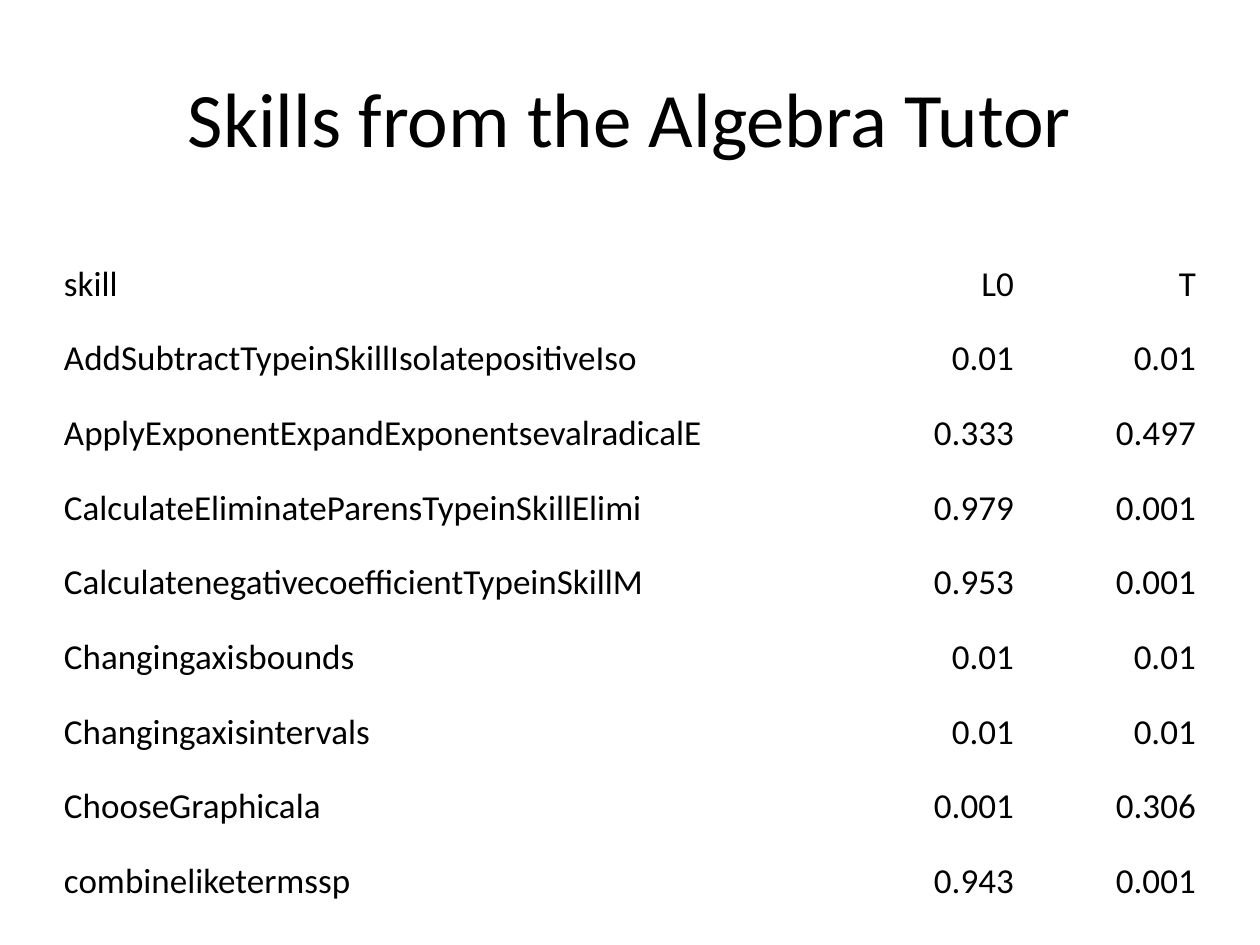
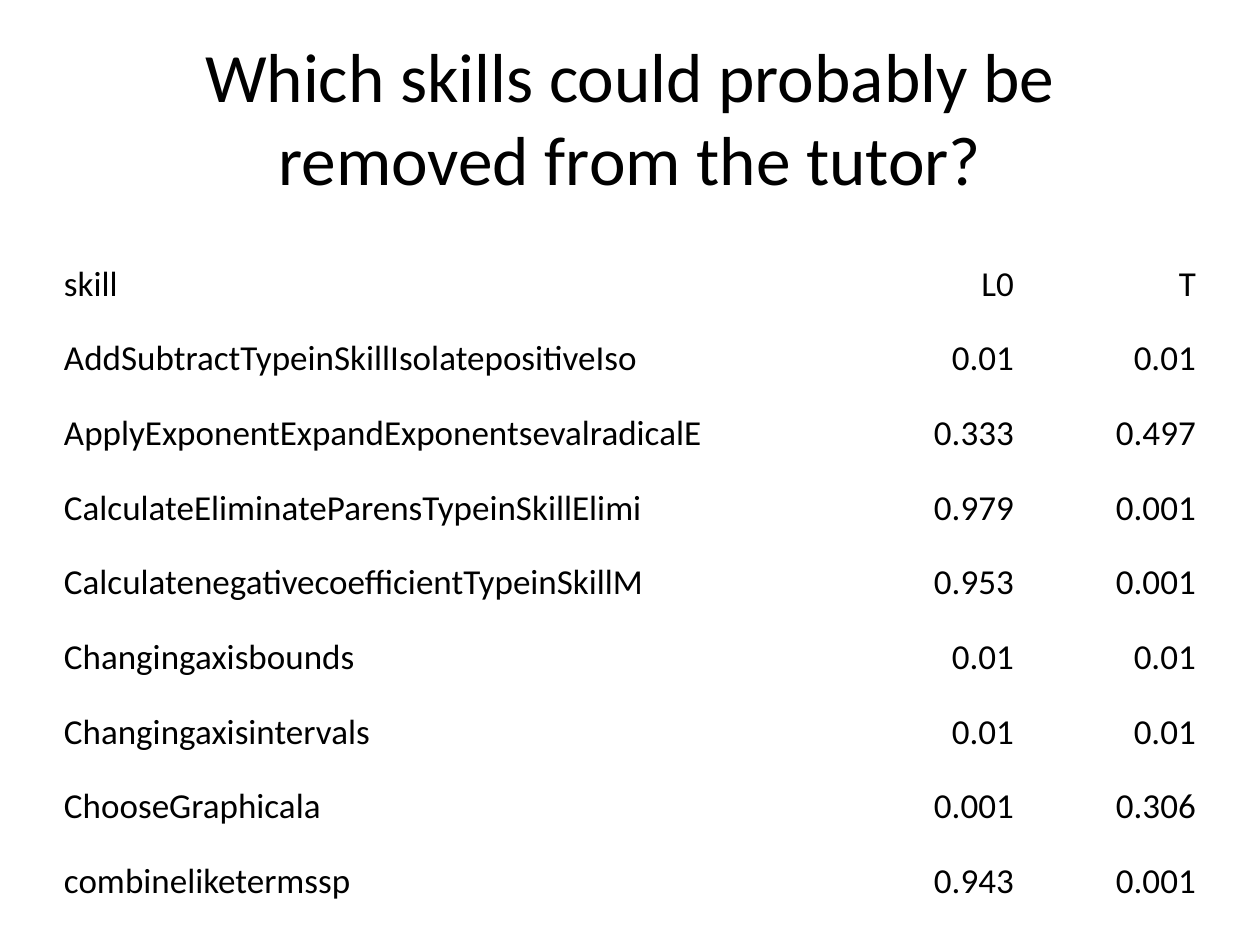
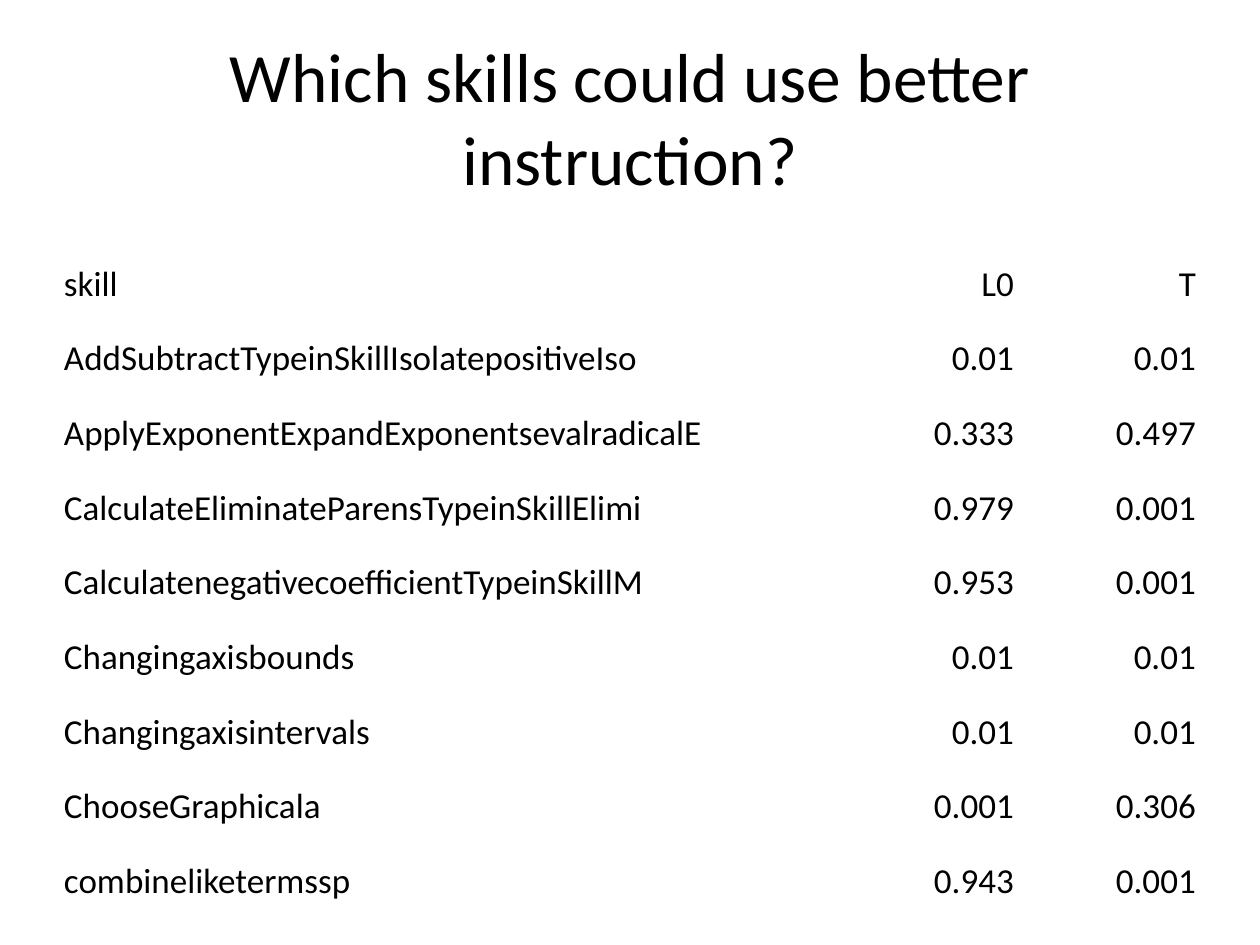
from pptx import Presentation
from pptx import util as u
from pptx.dml import color
from pptx.enum import text

PX = 914400 // 126
FONT = "Calibri"
INK = "000000"
LEFT, WIDE = 63, 1134
COLS = [770, 182, 182]

titles = [
    ("Skills from the Algebra Tutor", 44),
    ("Which skills could probably be removed from the tutor?", 39.6),
    ("Which skills could use better instruction?", 39.6),
]
skills = [
    ("skill", "L0", "T"),
    ("AddSubtractTypeinSkillIsolatepositiveIso", "0.01", "0.01"),
    ("ApplyExponentExpandExponentsevalradicalE", "0.333", "0.497"),
    ("CalculateEliminateParensTypeinSkillElimi", "0.979", "0.001"),
    ("CalculatenegativecoefficientTypeinSkillM", "0.953", "0.001"),
    ("Changingaxisbounds", "0.01", "0.01"),
    ("Changingaxisintervals", "0.01", "0.01"),
    ("ChooseGraphicala", "0.001", "0.306"),
    ("combineliketermssp", "0.943", "0.001"),
]


def box(x, y, w, h):
    return [n * PX for n in (x, y, w, h)]


def style(frame, words, size, align, ink=INK):
    frame.text = words
    para = frame.paragraphs[0]
    para.alignment = align
    font = para.runs[0].font
    font.name = FONT
    font.size = u.Pt(size)
    font.color.rgb = color.RGBColor.from_string(ink)


deck = Presentation()
deck.slide_width, deck.slide_height = 1260 * PX, 945 * PX

for words, size in titles:
    slide = deck.slides.add_slide(deck.slide_layouts[5])
    title = slide.shapes.title
    title.left, title.top, title.width, title.height = box(LEFT, 38, WIDE, 157)
    frame = title.text_frame
    frame.auto_size = text.MSO_AUTO_SIZE.NONE
    frame.word_wrap = True
    frame.vertical_anchor = text.MSO_ANCHOR.MIDDLE
    style(frame, words, size, text.PP_ALIGN.CENTER)

    grid = slide.shapes.add_table(len(skills), len(COLS), *box(LEFT, 231, WIDE, 672)).table
    grid.first_row = False
    grid.horz_banding = False
    for col, wide in zip(grid.columns, COLS):
        col.width = wide * PX
    for r, row in enumerate(skills):
        for c, value in enumerate(row):
            cell = grid.cell(r, c)
            cell.fill.background()
            cell.vertical_anchor = text.MSO_ANCHOR.BOTTOM
            cell.margin_left = cell.margin_right = cell.margin_top = PX
            cell.margin_bottom = 0
            align = text.PP_ALIGN.RIGHT if c else text.PP_ALIGN.LEFT
            style(cell.text_frame, value, 20, align)

deck.save("out.pptx")
